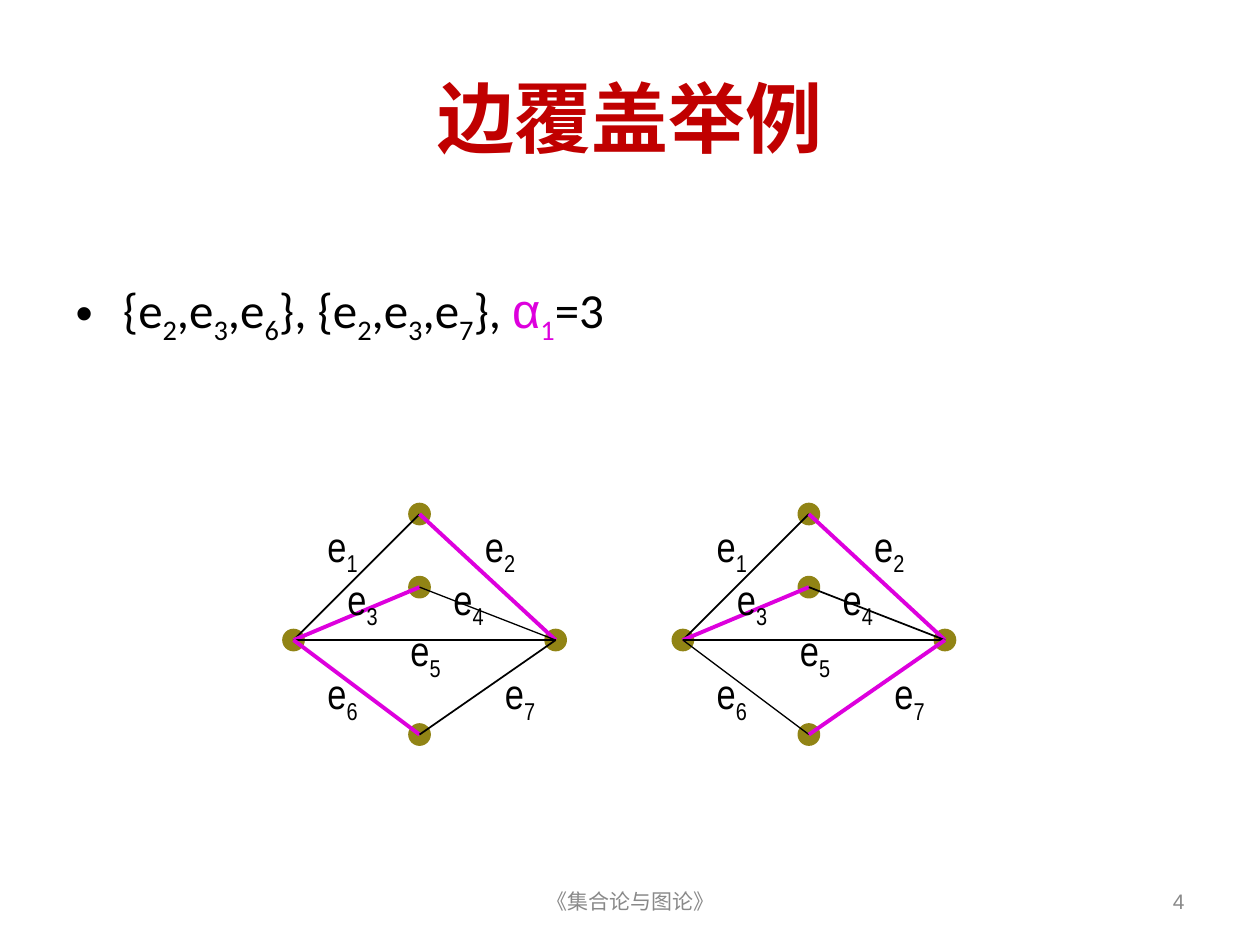
"""Build a slide showing two minimum edge covers of one graph."""
from dataclasses import dataclass

from lxml.etree import SubElement
from pptx import Presentation
from pptx.dml.color import RGBColor
from pptx.enum.shapes import MSO_CONNECTOR, MSO_SHAPE
from pptx.enum.text import MSO_ANCHOR, MSO_AUTO_SIZE, PP_ALIGN
from pptx.oxml.ns import qn
from pptx.util import Inches, Pt


@dataclass(frozen=True)
class Theme:
    title: str = "C00000"
    ink: str = "000000"
    accent: str = "DD00DD"
    vertex: str = "918415"
    muted: str = "898989"
    main_font: str = "Calibri"
    small_font: str = "Arial"
    label_font: str = "Arial Narrow"
    title_size: int = 44
    body_size: int = 28
    label_size: int = 24
    footer_size: int = 12
    thin: float = 0.75
    medium: float = 1
    thick: float = 2.25


THEME = Theme()
TITLE = "边覆盖举例"
COVERS = [("{e", "2"), (",e", "3"), (",e", "6"), ("}, {e", "2"), (",e", "3"), (",e", "7"),
          ("}, ", ""), ("α", "1"), ("=3", "")]
FOOTERS = [("《集合论与图论》", 3.42, 3.17, PP_ALIGN.CENTER),
           ("4", 7.17, 2.33, PP_ALIGN.RIGHT)]

DIAMETER = 0.17
VERTICES = {"top": (1, 0), "middle": (1, 0.58), "bottom": (1, 1.75),
            "west": (0, 1), "east": (2.08, 1)}
EDGES = {"1": ("west", "top"), "2": ("east", "top"), "3": ("west", "middle"),
         "4": ("east", "middle"), "5": ("west", "east"), "6": ("bottom", "west"),
         "7": ("bottom", "east")}
LABELS = {"1": (0.17, 0), "2": (1.42, 0), "3": (0.33, 0.42), "4": (1.17, 0.42),
          "5": (0.83, 0.83), "6": (0.17, 1.17), "7": (1.58, 1.17)}
GRAPHS = [{"origin": (2.33, 4.08), "cover": "236", "medium": "17"},
          {"origin": (5.42, 4.08), "cover": "237", "medium": "14"}]


def style(font, name, size, color, bold=False):
    font.name, font.size, font.bold = name, Pt(size), bold
    font.color.rgb = RGBColor.from_string(color)


def place(shape, left, top, width, height):
    shape.left, shape.top = Inches(left), Inches(top)
    shape.width, shape.height = Inches(width), Inches(height)


def add_term(para, base, subscript):
    spans = [para.add_run()]
    spans[0].text = base
    if subscript:
        spans.append(para.add_run())
        spans[1].text = subscript
        spans[1]._r.get_or_add_rPr().set("baseline", "-25000")
    return spans


def add_text_box(page, left, top, width, height):
    box = page.shapes.add_textbox(*map(Inches, (left, top, width, height)))
    box.text_frame.word_wrap = True
    return box.text_frame


def add_vertex(page, x, y):
    corner = (x - DIAMETER / 2, y - DIAMETER / 2)
    dot = page.shapes.add_shape(MSO_SHAPE.OVAL, *map(Inches, (*corner, DIAMETER, DIAMETER)))
    dot.shadow.inherit = False
    dot.fill.solid()
    dot.fill.fore_color.rgb = dot.line.color.rgb = RGBColor.from_string(THEME.vertex)
    dot.line.width = Pt(THEME.thin)


def add_edge(page, start, end, color, width):
    edge = page.shapes.add_connector(MSO_CONNECTOR.STRAIGHT, *map(Inches, (*start, *end)))
    edge.line.color.rgb = RGBColor.from_string(color)
    edge.line.width = Pt(width)
    SubElement(edge._element.spPr, qn("a:effectLst"))


def add_label(page, x, y, number):
    frame = add_text_box(page, x, y, 0.5, 0.56)
    frame.auto_size = MSO_AUTO_SIZE.SHAPE_TO_FIT_TEXT
    para = frame.paragraphs[0]
    style(para.font, THEME.label_font, THEME.label_size, THEME.ink)
    add_term(para, "e", number)


def add_graph(page, origin, cover, medium):
    def shift(point):
        return origin[0] + point[0], origin[1] + point[1]

    for point in VERTICES.values():
        add_vertex(page, *shift(point))
    for number, (start, end) in EDGES.items():
        covered = number in cover
        width = THEME.thick if covered else THEME.medium if number in medium else THEME.thin
        add_edge(page, shift(VERTICES[start]), shift(VERTICES[end]),
                 THEME.accent if covered else THEME.ink, width)
    for number, point in LABELS.items():
        add_label(page, *shift(point), number)


def fill_title(title):
    place(title, 0.5, 0.3, 9, 1.25)
    title.text_frame.vertical_anchor = MSO_ANCHOR.MIDDLE
    title.text_frame.text = TITLE
    para = title.text_frame.paragraphs[0]
    para.alignment = PP_ALIGN.CENTER
    style(para.font, THEME.main_font, THEME.title_size, THEME.title, bold=True)


def fill_body(body):
    place(body, 0.5, 2.17, 9, 1.89)
    para = body.text_frame.paragraphs[0]
    para.space_before = Pt(0)
    style(para.font, THEME.main_font, THEME.body_size, THEME.ink)
    for base, subscript in COVERS:
        spans = add_term(para, base, subscript)
        if base == "α":
            spans[0].font.name = THEME.small_font
            for span in spans:
                span.font.color.rgb = RGBColor.from_string(THEME.accent)


def add_footer(page, text, left, width, alignment):
    frame = add_text_box(page, left, 6.95, width, 0.4)
    frame.vertical_anchor = MSO_ANCHOR.MIDDLE
    frame.text = text
    para = frame.paragraphs[0]
    para.alignment = alignment
    style(para.font, THEME.small_font, THEME.footer_size, THEME.muted)


def main():
    deck = Presentation()
    deck.slide_width, deck.slide_height = Inches(10), Inches(7.5)
    page = deck.slides.add_slide(deck.slide_layouts[1])
    fill_title(page.shapes.title)
    fill_body(page.placeholders[1])
    for footer in FOOTERS:
        add_footer(page, *footer)
    for graph in GRAPHS:
        add_graph(page, **graph)
    deck.save("out.pptx")


if __name__ == "__main__":
    main()
